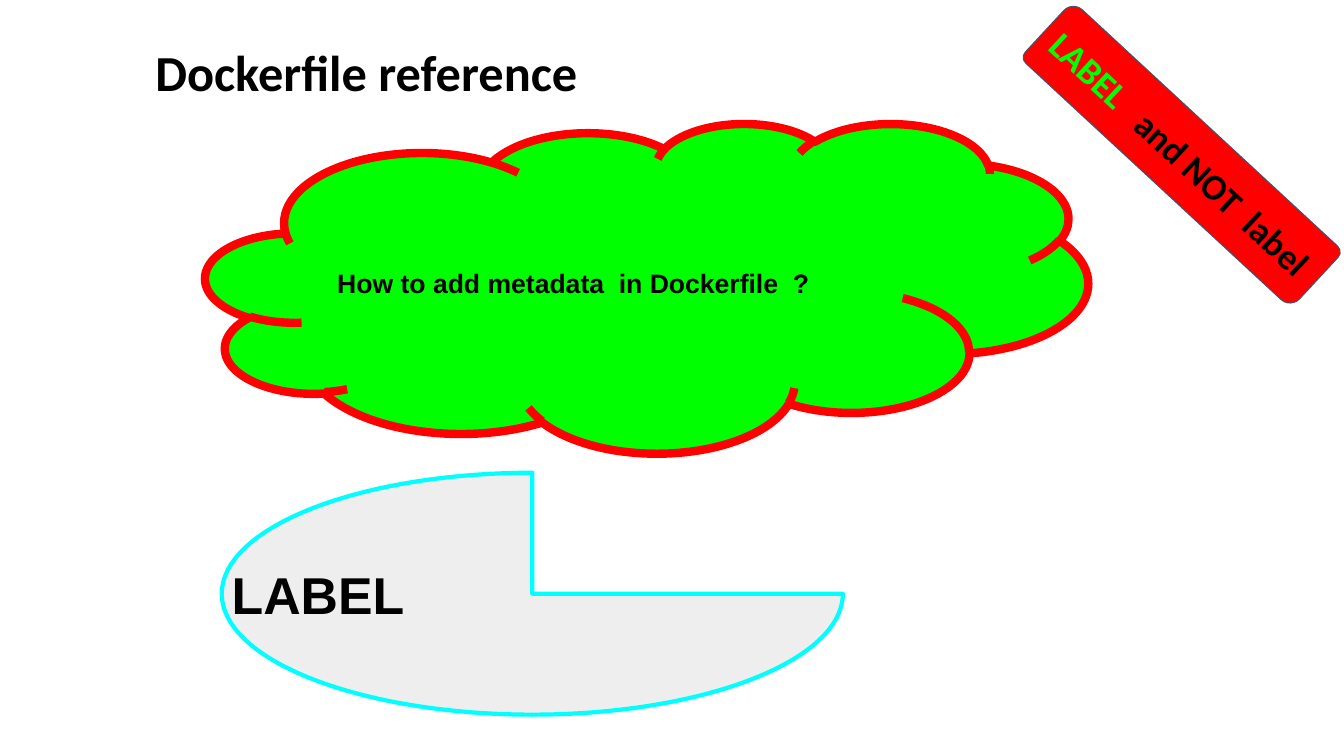
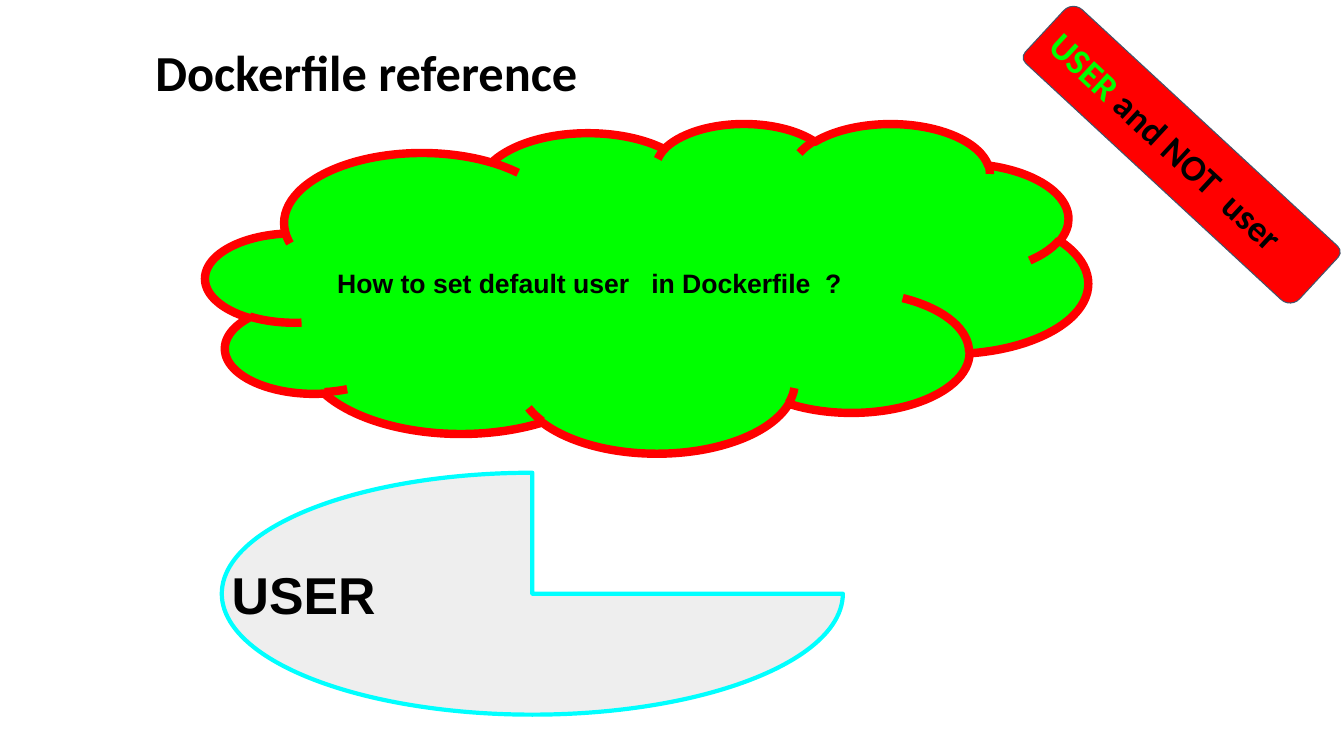
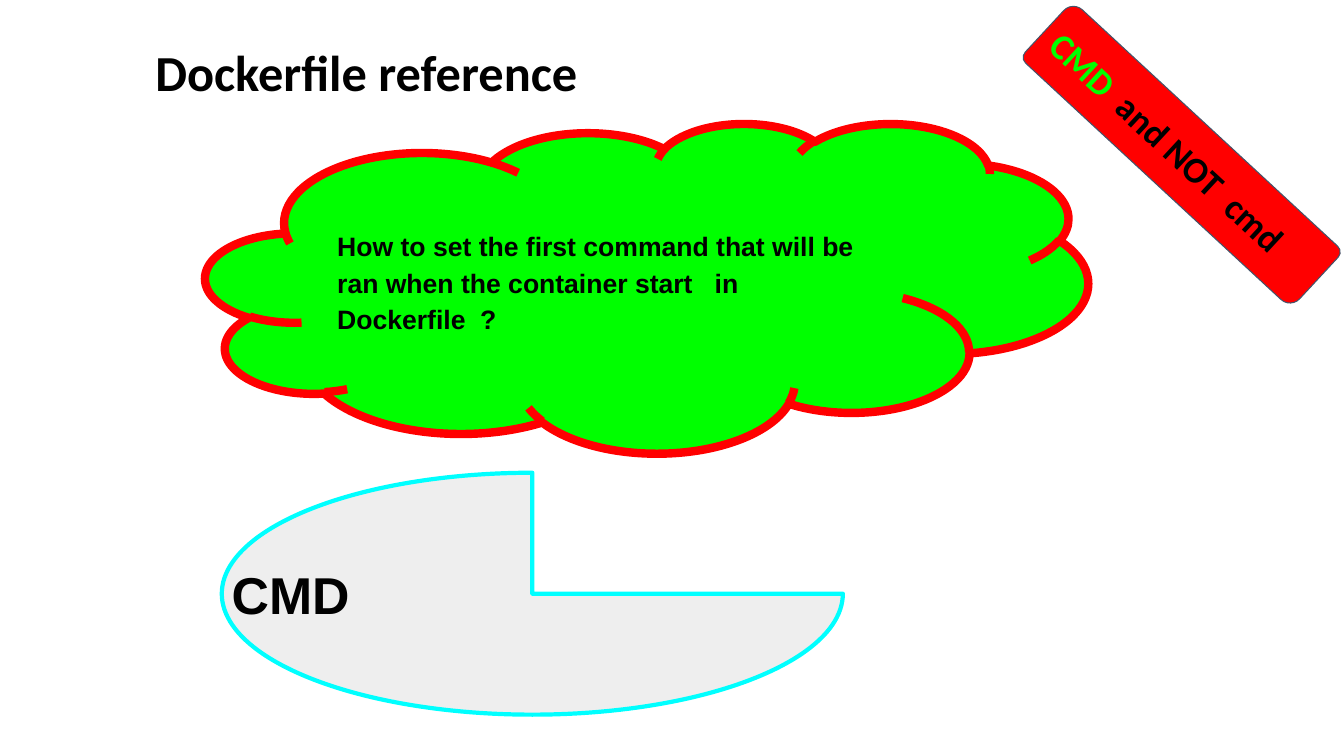
from pptx import Presentation
from pptx.dml.color import RGBColor
from pptx.enum.shapes import MSO_SHAPE as SHAPE
from pptx.enum.text import MSO_ANCHOR as ANCHOR, MSO_AUTO_SIZE as AUTO, PP_ALIGN as ALIGN
from pptx.util import Pt

PX = 9144
BLACK = RGBColor(0x00, 0x00, 0x00)
GREEN = RGBColor(0x00, 0xFF, 0x00)
RED = RGBColor(0xFF, 0x00, 0x00)
CYAN = RGBColor(0x00, 0xFF, 0xFF)
GRAY = RGBColor(0xEE, 0xEE, 0xEE)
SLATE = RGBColor(0x44, 0x54, 0x6A)
SANS = "Arial"
HEAD = "Calibri"

TITLE_BOX = (144, 36, 967, 71)
CLOUD_BOX = (204, 122, 875, 327)
PIE_BOX = (220, 469, 616, 240)
TAG_BOX = (989, 115, 366, 77)
TAG_ANGLE = 42.8

SLIDES = [
    ("LABEL", "How to add metadata  in Dockerfile  ?", "LABEL ", "  and NOT  label"),
    ("USER", "How to set default user   in Dockerfile  ?", "USER ", "and NOT  user"),
    ("CMD",
     "How to set the first command that will be ran when the container start   in Dockerfile  ?",
     "CMD  ", "and NOT  cmd"),
]


def emu(box):
    return [n * PX for n in box]


def add_run(p, text, size, font, color=BLACK):
    r = p.add_run()
    r.text = text
    r.font.size = Pt(size)
    r.font.name = font
    r.font.bold = True
    r.font.color.rgb = color


def set_frame(tf, anchor, inset_x, inset_y):
    tf.word_wrap = True
    tf.vertical_anchor = anchor
    tf.margin_left = tf.margin_right = inset_x * PX
    tf.margin_top = tf.margin_bottom = inset_y * PX
    p = tf.paragraphs[0]
    p.alignment = ALIGN.LEFT
    return p


def add_panel(s, kind, box, fill, line, weight):
    sp = s.shapes.add_shape(kind, *emu(box))
    sp.shadow.inherit = False
    sp.fill.solid()
    sp.fill.fore_color.rgb = fill
    sp.line.color.rgb = line
    sp.line.width = Pt(weight)
    return sp, set_frame(sp.text_frame, ANCHOR.MIDDLE, 10, 10)


def set_title(s, box, text):
    sp = s.shapes.title
    sp.left, sp.top, sp.width, sp.height = emu(box)
    p = set_frame(sp.text_frame, ANCHOR.TOP, 10, 5)
    sp.text_frame.auto_size = AUTO.SHAPE_TO_FIT_TEXT
    add_run(p, text, 36, HEAD)


def add_question(s, box, text):
    sp, p = add_panel(s, SHAPE.CLOUD, box, GREEN, RED, 6)
    p.line_spacing = 1.15
    add_run(p, text, 19, SANS)


def add_answer(s, box, text):
    sp, p = add_panel(s, SHAPE.PIE, box, GRAY, CYAN, 3)
    sp.adjustments[0] = 0
    sp.adjustments[1] = 162
    add_run(p, text, 37, SANS)


def add_tag(s, box, right, wrong):
    sp, p = add_panel(s, SHAPE.ROUND_2_DIAG_RECTANGLE, box, RED, SLATE, 0.75)
    sp.rotation = TAG_ANGLE
    sp.adjustments[0] = 0.17
    sp.adjustments[1] = 0.1
    add_run(p, right, 26, HEAD, GREEN)
    add_run(p, wrong, 26, HEAD)


def add_quiz_slide(prs, answer, question, right, wrong):
    s = prs.slides.add_slide(prs.slide_layouts[5])
    set_title(s, TITLE_BOX, "Dockerfile reference")
    add_question(s, CLOUD_BOX, question)
    add_answer(s, PIE_BOX, answer)
    add_tag(s, TAG_BOX, right, wrong)


def main():
    prs = Presentation()
    prs.slide_width, prs.slide_height = emu((1333, 750))
    for row in SLIDES:
        add_quiz_slide(prs, *row)
    prs.save("out.pptx")


if __name__ == "__main__":
    main()
